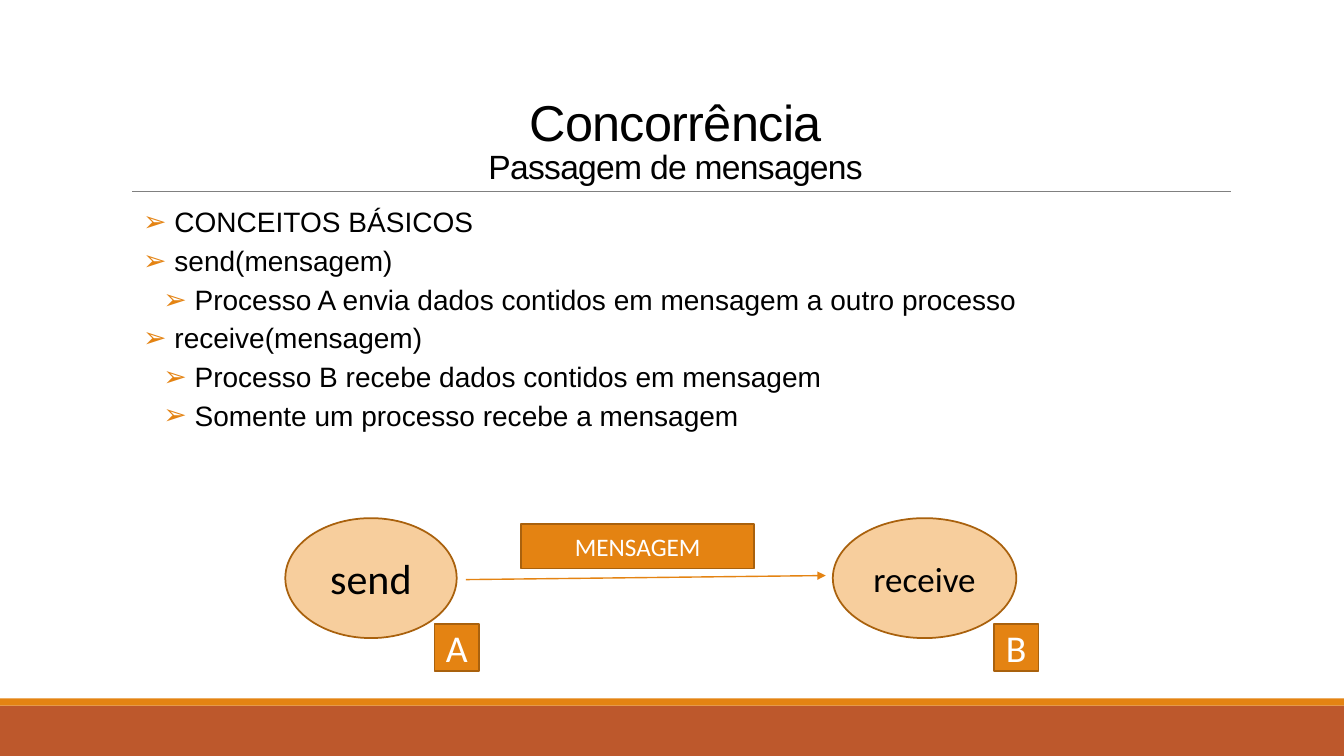
from dataclasses import dataclass

from lxml import etree
from pptx import Presentation
from pptx.dml.color import RGBColor
from pptx.enum.shapes import MSO_CONNECTOR, MSO_SHAPE
from pptx.enum.text import MSO_ANCHOR, MSO_AUTO_SIZE, PP_ALIGN
from pptx.oxml.ns import qn
from pptx.util import Pt

PX = 9144  # EMU per px, 100 px to the inch
RECTANGLE, ELLIPSE = MSO_SHAPE.RECTANGLE, MSO_SHAPE.OVAL
STRAIGHT = MSO_CONNECTOR.STRAIGHT
CENTER = PP_ALIGN.CENTER
MIDDLE, BOTTOM, TOP = MSO_ANCHOR.MIDDLE, MSO_ANCHOR.BOTTOM, MSO_ANCHOR.TOP
NO_AUTOFIT = MSO_AUTO_SIZE.NONE

COLORS = {
    "orange": "E48312",
    "rust": "BD582C",
    "peach": "F7CE9D",
    "outline": "A9610D",
    "rule": "808080",
    "black": "000000",
    "white": "FFFFFF",
}


@dataclass(frozen=True)
class Node:
    kind: int
    box: tuple[int, int, int, int]
    fill: str
    text: str = ""
    size: int = 18
    color: str = "white"
    outline: str | None = "outline"


@dataclass(frozen=True)
class Line:
    start: tuple[int, int]
    end: tuple[int, int]
    color: str
    width: float
    arrow: bool = False


@dataclass(frozen=True)
class Bullet:
    level: int
    text: str


FOOTER_BANDS = [
    Node(RECTANGLE, (0, 700, 1333, 50), "rust", outline=None),
    Node(RECTANGLE, (0, 693, 1333, 7), "orange", outline=None),
]
TITLE_RULE = Line((131, 190), (1221, 190), "rule", 0.5)
MESSAGE_ARROW = Line((462, 575), (819, 571), "orange", 1, arrow=True)

BULLETS = [
    Bullet(1, "CONCEITOS BÁSICOS"),
    Bullet(1, "send(mensagem)"),
    Bullet(2, "Processo A envia dados contidos em mensagem a outro processo"),
    Bullet(1, "receive(mensagem)"),
    Bullet(2, "Processo B recebe dados contidos em mensagem"),
    Bullet(2, "Somente um processo recebe a mensagem"),
]
DIAGRAM = [
    Node(ELLIPSE, (283, 514, 170, 119), "peach", "send", 30, "black"),
    Node(ELLIPSE, (826, 514, 182, 119), "peach", "receive", 25, "black"),
    Node(RECTANGLE, (517, 520, 231, 44), "orange", "MENSAGEM"),
    Node(RECTANGLE, (431, 619, 44, 47), "orange", "A", 27),
    Node(RECTANGLE, (986, 619, 44, 47), "orange", "B", 27),
]


def rgb(name: str) -> RGBColor:
    return RGBColor.from_string(COLORS[name])


def write(paragraph, text: str, *, size: int, font: str = "Arial",
          color: str = "black", align=None, tracking: int = 0) -> None:
    run = paragraph.add_run()
    run.text = text
    run.font.size = Pt(size)
    run.font.name = font
    run.font.color.rgb = rgb(color)
    if tracking:
        run.font._element.set("spc", str(tracking))
    if align is not None:
        paragraph.alignment = align


def place(shape, box: tuple[int, int, int, int]) -> None:
    shape.left, shape.top, shape.width, shape.height = [value * PX for value in box]


def set_frame(frame, anchor) -> None:
    frame.word_wrap = True
    frame.auto_size = NO_AUTOFIT
    frame.vertical_anchor = anchor


def draw_node(slide, node: Node) -> None:
    shape = slide.shapes.add_shape(node.kind, *[value * PX for value in node.box])
    shape.shadow.inherit = False
    shape.fill.solid()
    shape.fill.fore_color.rgb = rgb(node.fill)
    if node.outline:
        shape.line.color.rgb = rgb(node.outline)
        shape.line.width = Pt(1.25)
    else:
        shape.line.fill.background()
    if node.text:
        set_frame(shape.text_frame, MIDDLE)
        write(shape.text_frame.paragraphs[0], node.text, size=node.size,
              font="Calibri", color=node.color, align=CENTER)


def draw_line(slide, line: Line) -> None:
    ends = [value * PX for value in line.start + line.end]
    connector = slide.shapes.add_connector(STRAIGHT, *ends)
    connector.line.color.rgb = rgb(line.color)
    connector.line.width = Pt(line.width)
    if line.arrow:
        outline = connector.line._get_or_add_ln()
        etree.SubElement(outline, qn("a:tailEnd"), type="triangle")
    etree.SubElement(connector._element.spPr, qn("a:effectLst"))


def fill_title(title) -> None:
    place(title, (120, 31, 1100, 159))
    set_frame(title.text_frame, BOTTOM)
    paragraph = title.text_frame.paragraphs[0]
    paragraph.line_spacing = 0.85
    write(paragraph, "Concorrência", size=36, align=CENTER, tracking=-50)
    paragraph.add_line_break()
    write(paragraph, "Passagem de mensagens", size=24, align=CENTER, tracking=-50)


def fill_body(body) -> None:
    place(body, (120, 202, 1100, 440))
    frame = body.text_frame
    set_frame(frame, TOP)
    frame.margin_left = frame.margin_right = 0
    for index, bullet in enumerate(BULLETS):
        paragraph = frame.add_paragraph() if index else frame.paragraphs[0]
        paragraph.level = bullet.level
        paragraph.line_spacing = 0.9
        paragraph.space_before, paragraph.space_after = Pt(2), Pt(4)
        write(paragraph, bullet.text, size=20)
        properties = paragraph._p.get_or_add_pPr()
        properties.set("marL", str((33 + 20 * bullet.level) * PX))
        properties.set("indent", str(-31 * PX))
        bullet_color = etree.SubElement(properties, qn("a:buClr"))
        etree.SubElement(bullet_color, qn("a:srgbClr"), val=COLORS["orange"])
        etree.SubElement(properties, qn("a:buFont"), typeface="Arial")
        etree.SubElement(properties, qn("a:buChar"), char="➢")


def main() -> None:
    presentation = Presentation()
    presentation.slide_width, presentation.slide_height = 1333 * PX, 750 * PX
    slide = presentation.slides.add_slide(presentation.slide_layouts[1])

    # Footer bands and title rule
    for band in FOOTER_BANDS:
        draw_node(slide, band)
    draw_line(slide, TITLE_RULE)

    # Title and bullet list
    fill_title(slide.shapes.title)
    fill_body(slide.placeholders[1])

    # Message diagram
    draw_line(slide, MESSAGE_ARROW)
    for node in DIAGRAM:
        draw_node(slide, node)

    presentation.save("out.pptx")


if __name__ == "__main__":
    main()
